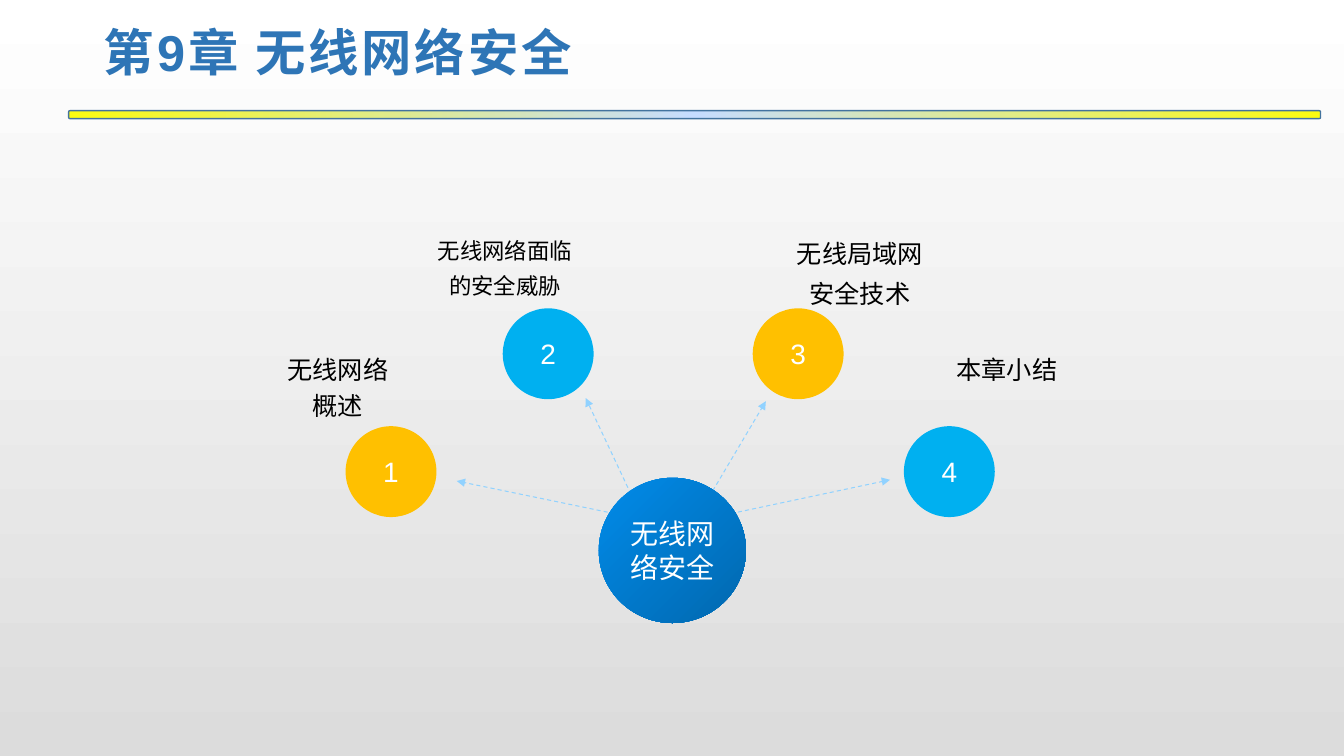
from copy import deepcopy

from lxml import etree
from pptx import Presentation
from pptx.dml.color import RGBColor
from pptx.enum import dml, shapes, text
from pptx.oxml import ns
from pptx.util import Cm, Pt

WHITE = RGBColor(0xFF, 0xFF, 0xFF)
BLACK = RGBColor(0, 0, 0)
GREY = RGBColor(0xDC, 0xDC, 0xDC)
BLUE = RGBColor(0x2E, 0x75, 0xB6)
EDGE = RGBColor(0x43, 0x73, 0x9E)
PALE = RGBColor(0xC6, 0xDC, 0xFF)
LEMON = RGBColor(0xFB, 0xFB, 0x11)
GOLD = RGBColor(0xFF, 0xC0, 0x00)
SKY = RGBColor(0x00, 0xB0, 0xF0)
RAY = RGBColor(0x91, 0xD2, 0xFF)
HUB = [RGBColor(0x01, 0x8B, 0xE9), RGBColor(0x01, 0x68, 0xAF)]

SIZE = 2.29  # topic circle, cm
LABEL = 2.11  # label height, cm

# circle left and top, fill, arrow from and to, label left, top and width,
# label text, text size, line spacing
TOPICS = [
    ((8.71, 10.74), GOLD, (15.67, 12.98, 11.51, 12.12),
     (6.76, 8.64, 3.51), "无线网络概述", 18, 1.2),
    ((12.67, 7.77), SKY, (15.98, 12.62, 14.76, 10.03),
     (10.77, 5.66, 3.91), "无线网络面临的安全威胁", 16, 1.3),
    ((18.97, 7.77), GOLD, (17.96, 12.37, 19.3, 10.11),
     (19.74, 5.66, 3.86), "无线局域网安全技术", 18, 1.3),
    ((22.78, 10.74), SKY, (18.24, 12.98, 22.43, 12.09),
     (23.62, 8.64, 3.51), "本章小结", 18, 1.2),
]


def place(*nums):
    return [Cm(n) for n in nums]


def style(item, **form):
    for key, value in form.items():
        setattr(item, key, value)


def write(frame, words, size, color, **form):
    """Fill a frame with one centred paragraph; form holds paragraph format."""
    para = frame.paragraphs[0]
    para.text = words
    style(para, **{"alignment": text.PP_ALIGN.CENTER, **form})
    style(para.font, name="Arial", size=Pt(size))
    para.font.color.rgb = color
    return para


def blend(fill, root, angle, *colors):
    """Give a fill a linear gradient of evenly spaced colours."""
    fill.gradient()
    fill.gradient_angle = angle
    stops = root.find(".//" + ns.qn("a:gsLst"))
    while len(stops) < len(colors):
        stops.insert(1, deepcopy(stops[0]))
    for i, (stop, color) in enumerate(zip(fill.gradient_stops, colors)):
        stop.position = i / (len(colors) - 1)
        stop.color.rgb = color


def shape(slide, kind, box):
    item = slide.shapes.add_shape(kind, *place(*box))
    item.shadow.inherit = False
    item.line.fill.background()
    return item


def title(slide):
    head = slide.shapes.title
    style(head, **dict(zip(("left", "top", "width", "height"),
                           place(2.34, 0.18, 29.21, 2.21))))
    frame = head.text_frame
    style(frame, auto_size=text.MSO_AUTO_SIZE.NONE, word_wrap=True,
          vertical_anchor=text.MSO_ANCHOR.MIDDLE,
          margin_left=Cm(0.28), margin_right=Cm(0.2),
          margin_top=Cm(0.1), margin_bottom=Cm(0.1))
    para = write(frame, "第9章 无线网络安全", 36, BLUE,
                 alignment=text.PP_ALIGN.LEFT)
    para.font.bold = True
    para.runs[0].font._element.set("spc", "200")


def bar(slide):
    rule = shape(slide, shapes.MSO_SHAPE.ROUNDED_RECTANGLE,
                 (1.73, 2.79, 31.55, 0.2))
    blend(rule.fill, rule._element.spPr, 0, LEMON, PALE, LEMON)
    rule.line.color.rgb = EDGE
    rule.line.width = Pt(1)


def arrow(slide, ends):
    ray = slide.shapes.add_connector(shapes.MSO_CONNECTOR.STRAIGHT,
                                     *place(*ends))
    style(ray.line, width=Pt(0.75), dash_style=dml.MSO_LINE.DASH)
    ray.line.color.rgb = RAY
    props = ray._element.spPr
    tip = etree.SubElement(props.find(ns.qn("a:ln")), ns.qn("a:tailEnd"))
    tip.set("type", "triangle")
    etree.SubElement(props, ns.qn("a:effectLst"))


def circle(slide, spot, color, words):
    disc = shape(slide, shapes.MSO_SHAPE.OVAL, (*spot, SIZE, SIZE))
    disc.fill.solid()
    disc.fill.fore_color.rgb = color
    style(disc.text_frame, word_wrap=False,
          vertical_anchor=text.MSO_ANCHOR.MIDDLE)
    write(disc.text_frame, words, 20, WHITE)


def centre(slide):
    disc = shape(slide, shapes.MSO_SHAPE.OVAL, (15.09, 12.04, 3.71, 3.66))
    blend(disc.fill, disc._element.spPr, 315, *HUB)
    style(disc.text_frame, word_wrap=True,
          vertical_anchor=text.MSO_ANCHOR.MIDDLE, margin_left=0,
          margin_right=0, margin_top=0, margin_bottom=0)
    write(disc.text_frame, "无线网络安全", 20, WHITE)


def label(slide, spot, words, size, gap):
    box = slide.shapes.add_textbox(*place(*spot, LABEL))
    box.text_frame.word_wrap = True
    write(box.text_frame, words, size, BLACK, line_spacing=gap)


def main():
    deck = Presentation()
    style(deck, slide_width=Cm(33.87), slide_height=Cm(19.05))
    slide = deck.slides.add_slide(deck.slide_layouts[5])
    blend(slide.background.fill, slide._element, 270, WHITE, GREY)
    title(slide)
    bar(slide)
    for i, (spot, color, ends, *note) in enumerate(TOPICS, 1):
        arrow(slide, ends)
        circle(slide, spot, color, str(i))
        label(slide, *note)
    centre(slide)
    deck.save("out.pptx")


if __name__ == "__main__":
    main()
